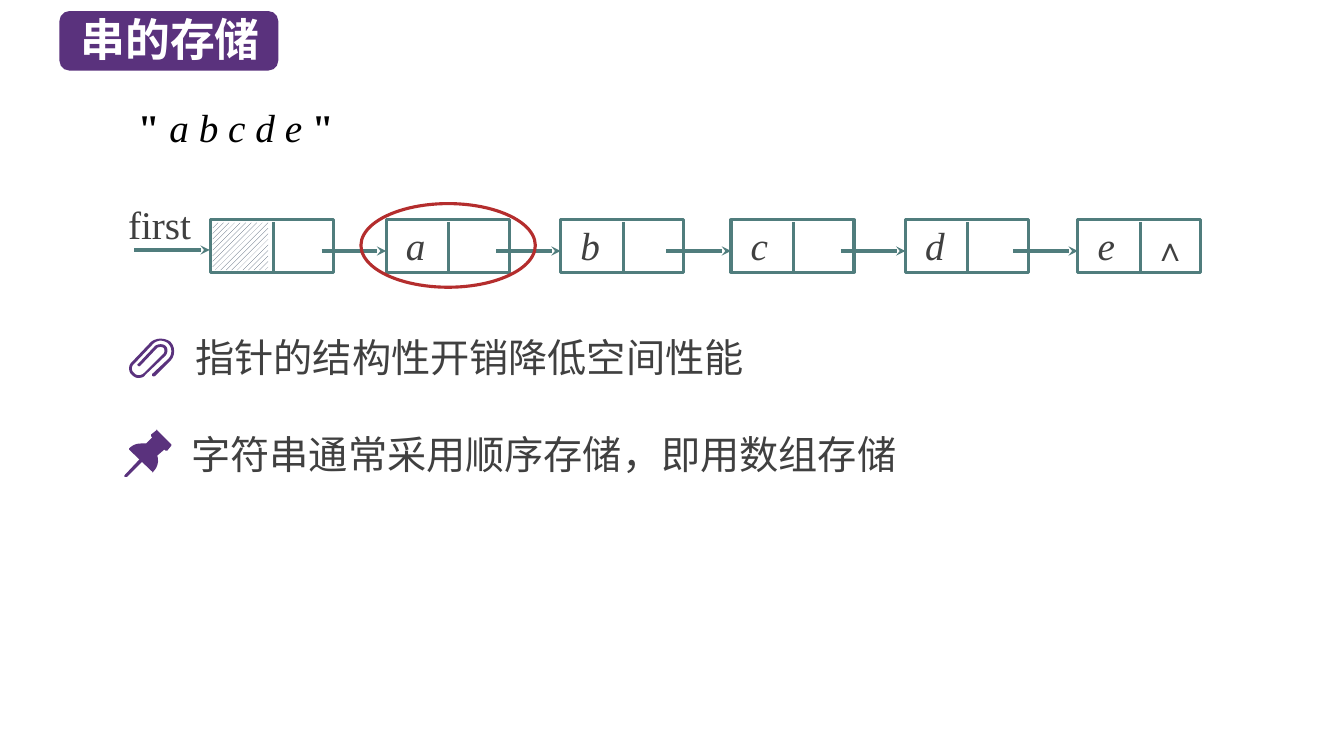
import lxml.etree
import pptx
import pptx.dml.color
import pptx.enum.dml
import pptx.enum.shapes
import pptx.enum.text
import pptx.oxml.ns
import pptx.util

PX = 9144  # EMU per px, 100 px to the inch
COLORS = {"purple": "5A327D", "teal": "507D7D", "red": "B42D2D", "gray": "404040",
          "black": "000000", "white": "FFFFFF", "hatch": "44546A"}
COLORS = {name: pptx.dml.color.RGBColor.from_string(code) for name, code in COLORS.items()}
SERIF, SANS = "Times New Roman", "Noto Sans CJK SC"
SHAPE = pptx.enum.shapes.MSO_SHAPE
ANCHOR = pptx.enum.text.MSO_ANCHOR
qn = pptx.oxml.ns.qn

deck = pptx.Presentation()
deck.slide_width, deck.slide_height = 1333 * PX, 750 * PX
page = deck.slides.add_slide(deck.slide_layouts[6])


def add_box(frame, spans, kind=None, fill=None, line=None, size=28, color="gray", font=SERIF,
            insets=(10, 5, 10, 5), anchor=ANCHOR.TOP, spacing=None, before=0):
    """Add a text box, or a preset shape if kind is given; spans are (text, bold, italic)."""
    frame = [length * PX for length in frame]
    if kind is None:
        box = page.shapes.add_textbox(*frame)
    else:
        box = page.shapes.add_shape(kind, *frame)
        box.shadow.inherit = False
        box.fill.background()
        box.line.fill.background()
    if fill:
        box.fill.solid()
        box.fill.fore_color.rgb = COLORS[fill]
    if line:
        box.line.color.rgb = COLORS[line]
        box.line.width = pptx.util.Pt(2.25)
    if spans:
        text = box.text_frame
        text.word_wrap = True
        text.vertical_anchor = anchor
        text.margin_left, text.margin_top, text.margin_right, text.margin_bottom = (
            inset * PX for inset in insets)
        para = text.paragraphs[0]
        para.alignment = pptx.enum.text.PP_ALIGN.LEFT
        para.line_spacing = spacing
        para.space_before = pptx.util.Pt(before)
        for words, bold, italic in spans:
            span = para.add_run()
            span.text = words
            span.font.name = font
            span.font.size = pptx.util.Pt(size)
            span.font.bold, span.font.italic = bold, italic
            span.font.color.rgb = COLORS[color]
            east_asian = lxml.etree.SubElement(span.font._element, qn("a:ea"))
            east_asian.set("typeface", SANS)
    return box


def add_line(x1, y1, x2, y2, arrow=False):
    line = page.shapes.add_connector(
        pptx.enum.shapes.MSO_CONNECTOR.STRAIGHT, x1 * PX, y1 * PX, x2 * PX, y2 * PX)
    line.line.color.rgb = COLORS["teal"]
    line.line.width = pptx.util.Pt(2.25)
    if arrow:
        lxml.etree.SubElement(line.line._get_or_add_ln(), qn("a:tailEnd")).set("type", "stealth")
    lxml.etree.SubElement(line._element.spPr, qn("a:effectLst"))


# Title and string
add_box((59, 11, 217, 59), [], SHAPE.ROUNDED_RECTANGLE, fill="purple")
add_box((70, 7, 209, 64), [("串的存储", True, False)], size=32, color="white", font=SANS)
add_box((127, 93, 429, 58), [('"', True, False), (" a b c d e", False, True), (' "', True, False)],
        color="black", spacing=1.1, before=3)

# Linked list
NODE_TOP, NODE_WIDTH, NODE_HEIGHT = 218, 122, 52
add_box((127, 199, 83, 49), [("first", False, False)], insets=(0, 0, 0, 4))
add_line(133, 248, 208, 248, arrow=True)
for left, letter in zip((209, 383, 556, 725, 898, 1069), ("", "a", "b", "c", "d", "e")):
    add_box((left, NODE_TOP, NODE_WIDTH, NODE_HEIGHT),
            [(" " + letter, False, True)] if letter else [], SHAPE.RECTANGLE, line="teal",
            insets=(10, 0, 0, 8), spacing=pptx.util.Pt(35))
    add_line(left + 62, NODE_TOP + 2, left + 62, NODE_TOP + NODE_HEIGHT - 1)
    if letter:
        add_line(left - 64, 249, left, 249, arrow=True)
hatch = add_box((211, 221, 55, 47), [], SHAPE.RECTANGLE)
hatch.fill.patterned()
hatch.fill.pattern = pptx.enum.dml.MSO_PATTERN.WIDE_UPWARD_DIAGONAL
hatch.fill.fore_color.rgb = COLORS["hatch"]
hatch.fill.back_color.rgb = COLORS["white"]
add_box((1134, 221, 57, 48), [("∧", False, False)], size=24, insets=(10, 5, 10, 4))
add_box((358, 202, 173, 83), [], SHAPE.OVAL, line="red")

# Remarks
for frame, remark in (((184, 319, 662, 76), "指针的结构性开销降低空间性能"),
                      ((180, 415, 725, 76), "字符串通常采用顺序存储，即用数组存储")):
    add_box(frame, [(remark, False, False)], anchor=ANCHOR.MIDDLE, spacing=0.9, before=10)

# Icon outlines: pairs are straight steps, sextuples are cubic curves
clip = [(169, 339), (166, 337, 163, 336, 159, 336), (156, 336, 153, 337, 150, 339), (131, 359),
        (127, 362, 127, 369, 131, 372), (133, 374, 135, 375, 137, 375),
        (140, 375, 143, 374, 144, 372), (164, 353), (165, 352, 166, 350, 166, 348),
        (166, 346, 166, 345, 164, 343), (162, 341, 157, 341, 154, 343), (137, 361),
        (136, 361, 136, 362, 137, 363), (138, 363.5), (139, 363), (156, 345),
        (158, 344, 161, 344, 162, 345), (163, 346, 163, 347, 163, 348),
        (163, 349, 163, 350, 162, 351), (143, 370), (140, 373, 135, 373, 133, 370),
        (130, 368, 130, 363, 133, 361), (152, 341), (154, 339, 157, 338, 159, 338),
        (162, 338, 165, 339, 167, 341), (171, 345, 171, 352, 167, 356), (151, 371),
        (151, 371, 151, 372, 151, 373), (152.5, 373.5), (154, 373), (169, 358),
        (174, 353, 174, 344, 169, 339)]
pin_head = [(170, 441), (156, 427), (156, 426, 155, 426, 155, 427), (150, 431), (150, 433),
            (151, 434), (145, 440), (143, 440, 142, 440, 140, 440),
            (136, 440, 132, 441, 128, 445), (128, 446), (151, 468), (151.5, 469), (152, 468),
            (156, 464, 158, 458, 156, 452), (163, 446), (164, 447), (166, 447), (170, 442)]
pin_needle = [(125, 473), (124, 473), (123, 473, 123, 472, 124, 471), (139, 455),
              (140, 455, 141, 455, 141, 455), (142, 456, 142, 457, 141, 458), (126, 473)]
STEPS = 6
for outline in (clip, pin_head, pin_needle):
    points = outline[:1]
    for step in outline[1:]:
        if len(step) == 2:
            points.append(step)
            continue
        corners = [points[-1], step[:2], step[2:4], step[4:]]
        for i in range(1, STEPS + 1):
            t = i / STEPS
            weights = ((1 - t) ** 3, 3 * t * (1 - t) ** 2, 3 * t * t * (1 - t), t ** 3)
            points.append(tuple(sum(w * corner[axis] for w, corner in zip(weights, corners))
                                for axis in (0, 1)))
    points = [(x * PX, y * PX) for x, y in points]
    builder = page.shapes.build_freeform(*points[0])
    builder.add_line_segments(points[1:], close=True)
    icon = builder.convert_to_shape()
    icon.shadow.inherit = False
    icon.fill.solid()
    icon.fill.fore_color.rgb = COLORS["purple"]
    icon.line.fill.background()

deck.save("out.pptx")
